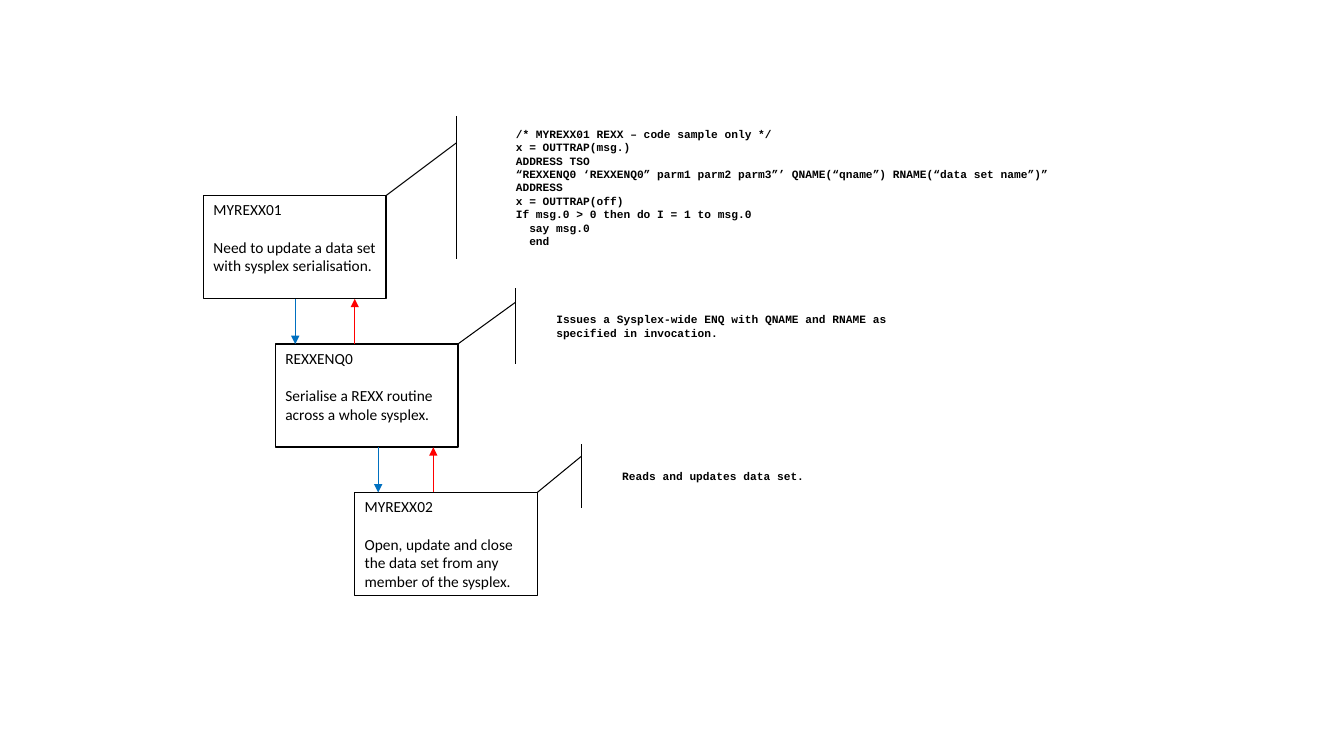
from dataclasses import dataclass

from pptx import Presentation
from pptx.dml.color import RGBColor
from pptx.enum import shapes, text
from pptx.oxml import ns, xmlchemy
from pptx.util import Cm, Pt


@dataclass(frozen=True)
class Theme:
    ink: str = "000000"
    call: str = "0070C0"
    back: str = "FF0000"
    sans: str = "Calibri"
    mono: str = "Courier New"
    body: float = 11
    code: float = 8
    gap: float = 13.4
    tab: float = 9.6
    frame: float = 1
    bar: float = 0.75
    arrow: float = 0.5


THEME = Theme()
SIZE = (4.6, 2.6)
TOP = 4.93
STEP = 3.74


def write(shape, lines, font, size, bold=False, gap=0, anchor=text.MSO_ANCHOR.TOP):
    frame = shape.text_frame
    frame.word_wrap = True
    frame.vertical_anchor = anchor
    for i, line in enumerate(lines):
        para = frame.paragraphs[0] if i == 0 else frame.add_paragraph()
        para.alignment = text.PP_ALIGN.LEFT
        if gap and i < len(lines) - 1:
            para.space_after = Pt(gap)
        if line.startswith("  "):
            para._p.get_or_add_pPr().set("marL", str(Pt(THEME.tab)))
        run = para.add_run()
        run.text = line.strip()
        run.font.name = font
        run.font.size = Pt(size)
        run.font.bold = bold
        run.font.color.rgb = RGBColor.from_string(THEME.ink)


def outline(slide, kind, box, width):
    shape = slide.shapes.add_shape(kind, *map(Cm, box))
    shape.shadow.inherit = False
    shape.fill.background()
    shape.line.color.rgb = RGBColor.from_string(THEME.ink)
    shape.line.width = Pt(width)
    return shape


def routine(slide, box, lines):
    shape = outline(slide, shapes.MSO_SHAPE.RECTANGLE, box, THEME.frame)
    write(shape, lines, THEME.sans, THEME.body, gap=THEME.gap)


def callout(slide, box, target, lines):
    left, top, width, height = box
    shape = outline(slide, shapes.MSO_SHAPE.LINE_CALLOUT_1_ACCENT_BAR, box, THEME.bar)
    ends = (0.188, -0.083, (target[1] - top) / height, (target[0] - left) / width)
    for i, end in enumerate(ends):
        shape.adjustments[i] = end
    write(shape, lines, THEME.mono, THEME.code, bold=True, anchor=text.MSO_ANCHOR.MIDDLE)


def arrow(slide, x, start, end, color):
    line = slide.shapes.add_connector(
        shapes.MSO_CONNECTOR.STRAIGHT, Cm(x), Cm(start), Cm(x), Cm(end))
    line.line.color.rgb = RGBColor.from_string(color)
    line.line.width = Pt(THEME.arrow)
    head = xmlchemy.OxmlElement("a:tailEnd")
    head.set("type", "triangle")
    props = line._element.spPr
    props.find(ns.qn("a:ln")).append(head)
    props.append(xmlchemy.OxmlElement("a:effectLst"))


def flow(slide, steps, links):
    width, height = SIZE
    for i, (left, label, note, lines) in enumerate(steps):
        top = TOP + i * STEP
        routine(slide, (left, top, width, height), label)
        callout(slide, note, (left + width, top), lines)
    for i, (down, up) in enumerate(links):
        start = TOP + i * STEP + height
        end = TOP + (i + 1) * STEP
        arrow(slide, down, start, end, THEME.call)
        arrow(slide, up, end, start, THEME.back)


def main():
    deck = Presentation()
    deck.slide_width, deck.slide_height = Cm(33.87), Cm(19.05)
    slide = deck.slides.add_slide(deck.slide_layouts[6])
    steps = [
        (5.13, ["MYREXX01", "Need to update a data set with sysplex serialisation."],
         (12.75, 2.92, 14.99, 3.61),
         ["/* MYREXX01 REXX – code sample only */",
          "x = OUTTRAP(msg.)",
          "ADDRESS TSO",
          "“REXXENQ0 ‘REXXENQ0” parm1 parm2 parm3”’ QNAME(“qname”) RNAME(“data set name”)”",
          "ADDRESS",
          "x = OUTTRAP(off)",
          "If msg.0 > 0 then do I = 1 to msg.0",
          "  say msg.0",
          "  end"]),
        (6.94, ["REXXENQ0", "Serialise a REXX routine across a whole sysplex."],
         (13.77, 7.26, 9.4, 1.91),
         ["Issues a Sysplex-wide ENQ with QNAME and RNAME as specified in invocation."]),
        (8.94, ["MYREXX02",
                "Open, update and close the data set from any member of the sysplex."],
         (15.43, 11.2, 9.4, 1.6),
         ["Reads and updates data set."]),
    ]
    flow(slide, steps, [(7.44, 8.94), (9.53, 10.92)])
    deck.save("out.pptx")


if __name__ == "__main__":
    main()
